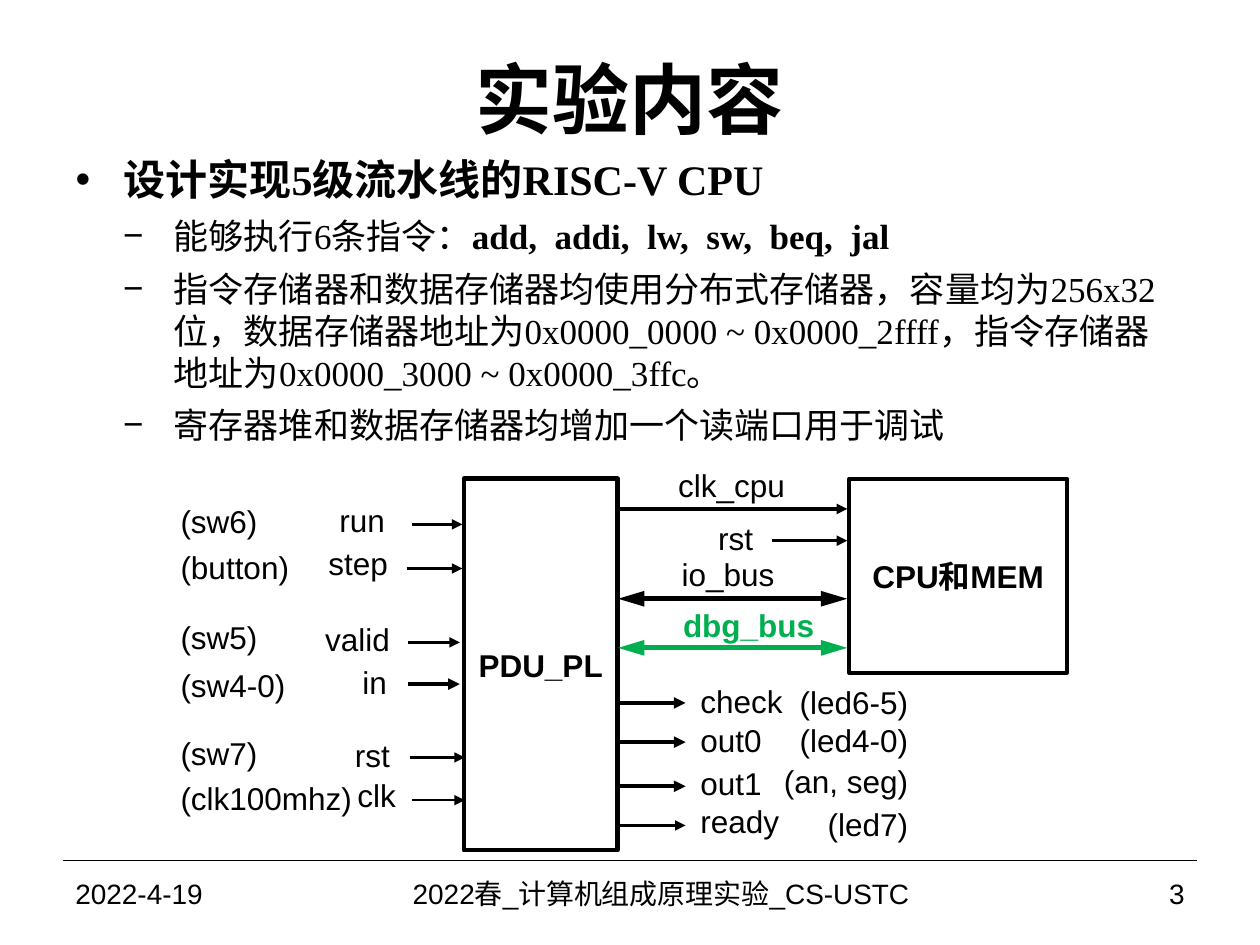
from lxml.etree import SubElement
from pptx import Presentation
from pptx.dml.color import RGBColor
from pptx.enum.shapes import MSO_CONNECTOR as Connector, MSO_SHAPE as Shape
from pptx.enum.text import MSO_ANCHOR as Anchor, MSO_AUTO_SIZE as AutoSize, PP_ALIGN as Align
from pptx.oxml.ns import qn
from pptx.util import Cm, Pt

BLACK, GREEN = "000000", "00B050"
LABEL_HEIGHT = 0.76
PIN_LEFT, PIN_WIDTH = 3.64, 3.5
OUTPUT_LEFT, OUTPUT_PIN_RIGHT = 14.12, 18.31
PDU_RIGHT, CPU_LEFT = 12.46, 17.08

BULLETS = [  # level, size, [(text, bold)]
    (0, 24, [("设计实现5级流水线的RISC-V CPU", True)]),
    (1, 20, [("能够执行6条指令：", False), ("add,  addi,  lw,  sw,  beq,  jal", True)]),
    (1, 20, [("指令存储器和数据存储器均使用分布式存储器，容量均为256x32位，"
              "数据存储器地址为0x0000_0000 ~ 0x0000_2ffff，"
              "指令存储器地址为0x0000_3000 ~ 0x0000_3ffc。", False)]),
    (1, 20, [("寄存器堆和数据存储器均增加一个读端口用于调试", False)]),
]
BULLET_STYLES = [("•", 0.97, -0.97), ("−", 1.98, -1.02)]  # character, margin, indent

INPUTS = [  # pin, pin y, signal, signal right, signal y, arrow from, to, y, weight
    ("(sw6)", 10.5, "run", 7.76, 10.49, 8.31, 9.32, 10.57, 1.5),
    ("(button)", 11.42, "step", 7.82, 11.35, 8.2, 9.32, 11.46, 1.5),
    ("(sw5)", 12.84, "valid", 7.86, 12.88, 8.23, 9.27, 12.95, 1.5),
    ("(sw4-0)", 13.8, "in", 7.8, 13.74, 8.23, 9.27, 13.79, 2.25),
    ("(sw7)", 15.18, "rst", 7.86, 15.21, 8.26, 9.37, 15.27, 1.5),
    ("(clk100mhz)", 16.08, "clk", 7.98, 16.03, 8.31, 9.37, 16.13, 1.5),
]
OUTPUTS = [  # signal, signal y, pin, pin y, arrow y, weight
    ("check", 14.14, "(led6-5)", 14.16, 14.17, 2.25),
    ("out0", 14.92, "(led4-0)", 14.92, 14.96, 2.25),
    ("out1", 15.79, "(an, seg)", 15.74, 15.85, 2.25),
    ("ready", 16.55, "(led7)", 16.6, 16.64, 1.5),
]
BUSES = [  # name, left, y, arrow from, arrow y, weight, both ways, colour
    ("clk_cpu", 13.67, 9.78, PDU_RIGHT, 10.26, 2, False, BLACK),
    ("rst", 14.48, 10.85, 15.57, 10.9, 2, False, BLACK),
    ("io_bus", 13.74, 11.58, PDU_RIGHT, 12.07, 3, True, BLACK),
    ("dbg_bus", 13.77, 12.6, PDU_RIGHT, 13.06, 3, True, GREEN),
]


def rgb(colour):
    return RGBColor.from_string(colour)


def format_font(font, size, name="Arial", bold=False, colour=BLACK):
    font.size, font.name, font.bold = Pt(size), name, bold
    font.color.rgb = rgb(colour)


def place(shape, left, top, width, height):
    shape.left, shape.top, shape.width, shape.height = map(Cm, (left, top, width, height))


def write(shape, text, size, align, bold=False, colour=BLACK, inset=(0, 0)):
    """Fill a shape with one vertically centred paragraph."""
    frame = shape.text_frame
    frame.word_wrap = True
    frame.auto_size = AutoSize.NONE
    frame.vertical_anchor = Anchor.MIDDLE
    frame.margin_left = frame.margin_right = Cm(inset[0])
    frame.margin_top = frame.margin_bottom = Cm(inset[1])
    frame.text = text
    paragraph = frame.paragraphs[0]
    paragraph.alignment = align
    format_font(paragraph.runs[0].font, size, bold=bold, colour=colour)


def add_label(slide, text, left, middle, width, align=Align.LEFT, **style):
    box = slide.shapes.add_textbox(
        Cm(left), Cm(middle - LABEL_HEIGHT / 2), Cm(width), Cm(LABEL_HEIGHT))
    write(box, text, 18, align, **style)


def add_block(slide, text, left, top, width, height, weight):
    block = slide.shapes.add_shape(
        Shape.RECTANGLE, Cm(left), Cm(top), Cm(width), Cm(height))
    block.shadow.inherit = False
    block.fill.background()
    block.line.color.rgb = rgb(BLACK)
    block.line.width = Pt(weight)
    write(block, text, 18, Align.CENTER, bold=True)


def add_line(slide, start, end, y, weight, colour=BLACK, ends=(), length="med"):
    """Draw a horizontal line; ends lists the arrowheads (headEnd, tailEnd)."""
    line = slide.shapes.add_connector(Connector.STRAIGHT, Cm(start), Cm(y), Cm(end), Cm(y))
    line.line.color.rgb = rgb(colour)
    line.line.width = Pt(weight)
    outline = line.line._get_or_add_ln()
    for end_name in ends:
        SubElement(outline, qn("a:" + end_name), type="triangle", w="med", len=length)
    SubElement(line._element.spPr, qn("a:effectLst"))


def add_bullets(body):
    place(body, 1.27, 2.97, 22.43, 6.2)
    frame = body.text_frame
    frame.auto_size = AutoSize.NONE
    frame.vertical_anchor = Anchor.TOP
    for index, (level, size, parts) in enumerate(BULLETS):
        paragraph = frame.add_paragraph() if index else frame.paragraphs[0]
        paragraph.level = level
        paragraph.space_before = Pt(6 if index else 0)
        character, margin, indent = BULLET_STYLES[level]
        properties = paragraph._p.get_or_add_pPr()
        properties.set("marL", str(Cm(margin)))
        properties.set("indent", str(Cm(indent)))
        SubElement(properties, qn("a:buChar"), char=character)
        for text, bold in parts:
            run = paragraph.add_run()
            run.text = text
            format_font(run.font, size, "Times New Roman", bold)


def add_footer(slide):
    add_line(slide, 1.27, 24.13, 17.35, 0.75)
    for text, left, width, align in [
        ("2022-4-19", 1.27, 5.92, Align.LEFT),
        ("2022春_计算机组成原理实验_CS-USTC", 7.19, 12.27, Align.CENTER),
        ("3", 19.48, 4.65, Align.RIGHT),
    ]:
        box = slide.shapes.add_textbox(Cm(left), Cm(17.35), Cm(width), Cm(1.32))
        write(box, text, 16, align, inset=(0.25, 0.13))


def add_diagram(slide):
    add_block(slide, "PDU_PL", 9.35, 9.65, 3.1, 7.49, 2.5)
    add_block(slide, "CPU和MEM", 17.12, 9.65, 4.39, 3.91, 2.25)
    for pin, pin_y, signal, right, signal_y, start, end, y, weight in INPUTS:
        add_label(slide, pin, PIN_LEFT, pin_y, PIN_WIDTH)
        add_label(slide, signal, right - 1.4, signal_y, 1.4, Align.RIGHT)
        add_line(slide, start, end, y, weight, ends=["tailEnd"])
    for signal, signal_y, pin, pin_y, y, weight in OUTPUTS:
        add_label(slide, signal, OUTPUT_LEFT, signal_y, 1.8)
        add_label(slide, pin, OUTPUT_PIN_RIGHT - 2.6, pin_y, 2.6, Align.RIGHT)
        add_line(slide, PDU_RIGHT, 13.82, y, weight, ends=["tailEnd"])
    for name, left, name_y, start, y, weight, both_ways, colour in BUSES:
        add_label(slide, name, left, name_y, 2.8, bold=colour == GREEN, colour=colour)
        ends = ["headEnd", "tailEnd"] if both_ways else ["tailEnd"]
        add_line(slide, start, CPU_LEFT, y, weight, colour, ends,
                 "lg" if both_ways else "med")


def main():
    presentation = Presentation()
    presentation.slide_width, presentation.slide_height = Cm(25.4), Cm(19.05)
    slide = presentation.slides.add_slide(presentation.slide_layouts[1])
    title, body = slide.placeholders
    place(title, 1.27, 0.38, 22.86, 3.18)
    write(title, "实验内容", 44, Align.CENTER, bold=True)
    add_bullets(body)
    add_footer(slide)
    add_diagram(slide)
    presentation.save("out.pptx")


if __name__ == "__main__":
    main()
